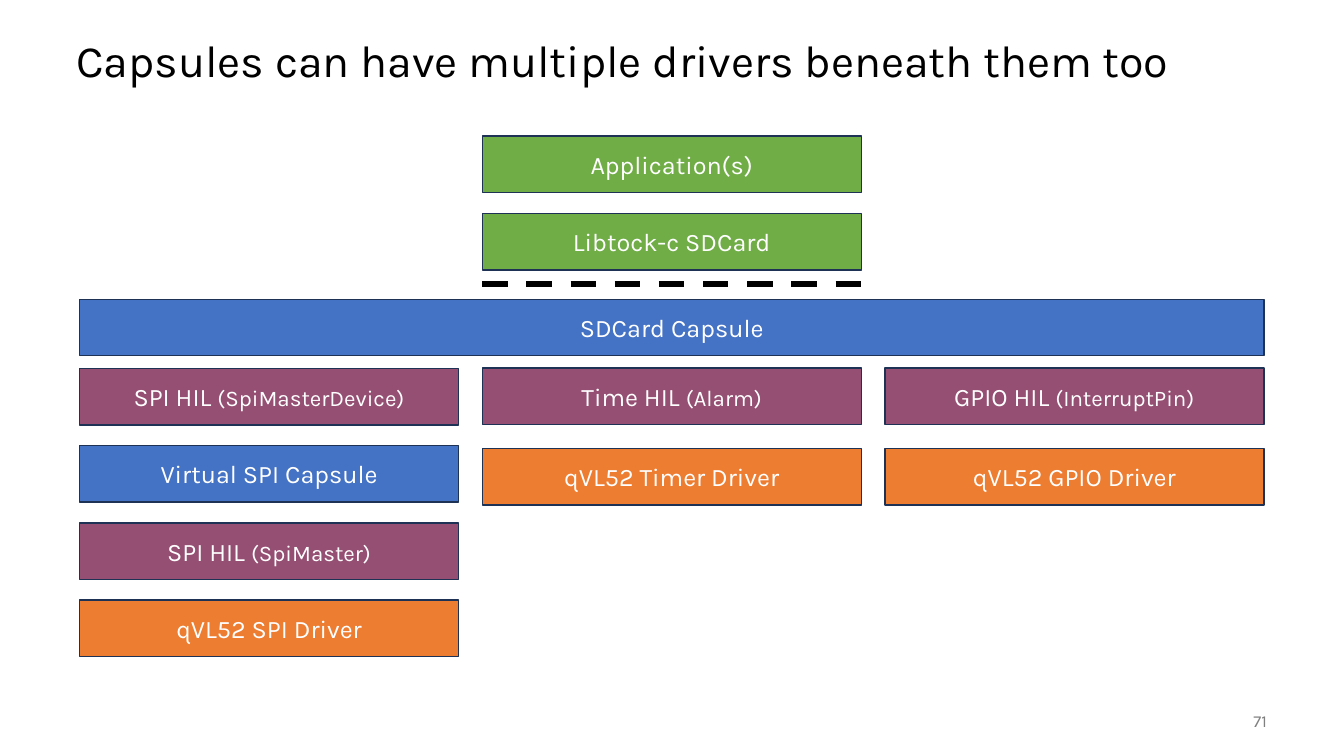
import pptx
import pptx.util
import pptx.dml.color
import pptx.enum.dml
import pptx.enum.shapes
import pptx.enum.text
import pptx.oxml.ns
import lxml.etree

Pt = pptx.util.Pt
ALIGN = pptx.enum.text.PP_ALIGN

FONT = "Karla"
COLORS = {
    "app": "70AD47",
    "capsule": "4472C4",
    "hil": "954F72",
    "driver": "ED7D31",
    "outline": "1E3256",
    "label": "FFFFFF",
    "title": "000000",
    "boundary": "000000",
    "number": "808080",
}

LEFT = 56.9
COLUMN_PITCH = 287.6
BOX_W, BOX_H = 270.7, 40.3
FULL_W = 2 * COLUMN_PITCH + BOX_W
APP_TOP, APP_PITCH = 97.2, 55.4
BOUNDARY_Y = 203
CAPSULE_TOP = 213.8

# Each stack: top, row pitch, and rows of (kind, name, detail)
STACKS = [
    (263.3, 55.1, [
        ("hil", "SPI HIL ", "(SpiMasterDevice)"),
        ("capsule", "Virtual SPI Capsule", ""),
        ("hil", "SPI HIL ", "(SpiMaster)"),
        ("driver", "qVL52 SPI Driver", ""),
    ]),
    (262.8, 57.6, [
        ("hil", "Time HIL ", "(Alarm)"),
        ("driver", "qVL52 Timer Driver", ""),
    ]),
    (262.8, 57.6, [
        ("hil", "GPIO HIL ", "(InterruptPin)"),
        ("driver", "qVL52 GPIO Driver", ""),
    ]),
]


def rgb(name):
    return pptx.dml.color.RGBColor.from_string(COLORS[name])


def column_left(col):
    return LEFT + col * COLUMN_PITCH


def add_run(p, text, size, color):
    r = p.add_run()
    r.text = text
    r.font.name = FONT
    r.font.size = Pt(size)
    r.font.color.rgb = rgb(color)


def middle_paragraph(sp, align):
    """Centre the shape's text vertically and return its first paragraph."""
    tf = sp.text_frame
    tf.word_wrap = True
    tf.vertical_anchor = pptx.enum.text.MSO_ANCHOR.MIDDLE
    p = tf.paragraphs[0]
    p.alignment = align
    return p


def add_text(s, x, y, w, h, text, size, color, align):
    sp = s.shapes.add_textbox(Pt(x), Pt(y), Pt(w), Pt(h))
    p = middle_paragraph(sp, align)
    add_run(p, text, size, color)
    return p


def add_box(s, x, y, w, kind, name, detail=""):
    sp = s.shapes.add_shape(pptx.enum.shapes.MSO_SHAPE.RECTANGLE,
                            Pt(x), Pt(y), Pt(w), Pt(BOX_H))
    sp.shadow.inherit = False
    sp.fill.solid()
    sp.fill.fore_color.rgb = rgb(kind)
    sp.line.color.rgb = rgb("outline")
    sp.line.width = Pt(1)
    p = middle_paragraph(sp, ALIGN.CENTER)
    add_run(p, name, 18, "label")
    if detail:
        add_run(p, detail, 16, "label")


def add_boundary(s, x, y, w):
    line = s.shapes.add_connector(pptx.enum.shapes.MSO_CONNECTOR.STRAIGHT,
                                  Pt(x), Pt(y), Pt(x + w), Pt(y))
    line.line.color.rgb = rgb("boundary")
    line.line.width = Pt(4.5)
    line.line.dash_style = pptx.enum.dml.MSO_LINE.DASH
    lxml.etree.SubElement(line._element.spPr,
                          pptx.oxml.ns.qn("a:effectLst"))


def main():
    prs = pptx.Presentation()
    prs.slide_width, prs.slide_height = Pt(960), Pt(540)
    s = prs.slides.add_slide(prs.slide_layouts[6])

    title = add_text(s, 47.5, 18, 864, 54,
                     "Capsules can have multiple drivers beneath them too",
                     32, "title", ALIGN.LEFT)
    title.line_spacing = 0.9
    add_text(s, 840, 500.4, 72, 28.8, "71", 12, "number", ALIGN.RIGHT)

    for row, name in enumerate(["Application(s)", "Libtock-c SDCard"]):
        add_box(s, column_left(1), APP_TOP + row * APP_PITCH, BOX_W,
                "app", name)
    add_boundary(s, column_left(1), BOUNDARY_Y, BOX_W)
    add_box(s, LEFT, CAPSULE_TOP, FULL_W, "capsule", "SDCard Capsule")

    for col, (top, pitch, rows) in enumerate(STACKS):
        for row, (kind, name, detail) in enumerate(rows):
            add_box(s, column_left(col), top + row * pitch, BOX_W,
                    kind, name, detail)

    prs.save("out.pptx")


if __name__ == "__main__":
    main()
